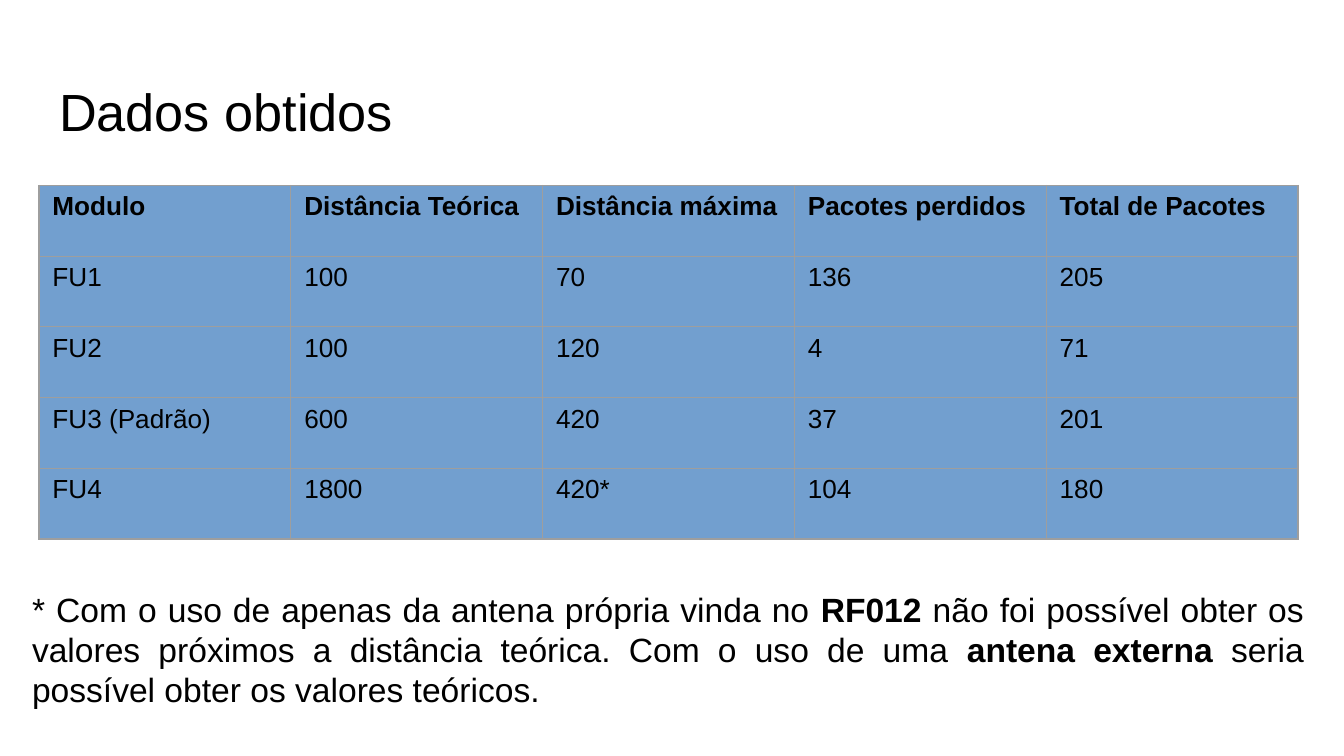
from dataclasses import dataclass
from typing import NamedTuple

from lxml import etree
from pptx import Presentation
from pptx.dml.color import RGBColor
from pptx.enum.text import MSO_ANCHOR, MSO_AUTO_SIZE, PP_ALIGN
from pptx.oxml.ns import qn
from pptx.util import Emu, Inches, Pt

TOP = MSO_ANCHOR.TOP
NO_AUTO_SIZE = MSO_AUTO_SIZE.NONE
LEFT = PP_ALIGN.LEFT
JUSTIFY = PP_ALIGN.JUSTIFY
TITLE_ONLY_LAYOUT = 5


@dataclass(frozen=True)
class Theme:
    font: str = "Arial"
    text: str = "000000"
    cell: str = "729FCF"
    border: str = "9E9E9E"
    border_width: float = 0.75
    title_size: int = 28
    table_size: int = 14
    note_size: int = 18


class Box(NamedTuple):
    left: float
    top: float
    width: float
    height: float

    def lengths(self) -> tuple[Emu, ...]:
        return tuple(Inches(value) for value in self)


class Piece(NamedTuple):
    text: str
    bold: bool = False


THEME = Theme()
SLIDE_WIDTH = 10
SLIDE_HEIGHT = SLIDE_WIDTH * 9 / 16
TITLE_BOX = Box(0.34, 0.49, 9.32, 0.63)
TABLE_BOX = Box(0.29, 1.38, 9.37, 2.63)
NOTE_BOX = Box(0.14, 4.28, 9.66, 1.07)

ROWS = (
    ("Modulo", "Distância Teórica", "Distância máxima", "Pacotes perdidos", "Total de Pacotes"),
    ("FU1", "100", "70", "136", "205"),
    ("FU2", "100", "120", "4", "71"),
    ("FU3 (Padrão)", "600", "420", "37", "201"),
    ("FU4", "1800", "420*", "104", "180"),
)
NOTE = (
    Piece("* Com o uso de apenas da antena própria vinda no "),
    Piece("RF012", bold=True),
    Piece(" não foi possível obter os valores próximos a distância teórica. Com o uso de uma "),
    Piece("antena externa", bold=True),
    Piece(" seria possível obter os valores teóricos."),
)


def format_run(run, size: int, bold: bool = False) -> None:
    run.font.name = THEME.font
    run.font.size = Pt(size)
    run.font.bold = bold
    run.font.color.rgb = RGBColor.from_string(THEME.text)


def write_text(shape, pieces: tuple[Piece, ...], size: int, alignment: PP_ALIGN) -> None:
    frame = shape.text_frame
    frame.word_wrap = True
    frame.auto_size = NO_AUTO_SIZE
    frame.vertical_anchor = TOP
    frame.margin_left = frame.margin_right = Inches(0.1)
    frame.margin_top = frame.margin_bottom = Inches(0.1)
    paragraph = frame.paragraphs[0]
    paragraph.alignment = alignment
    paragraph.line_spacing = 1.0
    for piece in pieces:
        run = paragraph.add_run()
        run.text = piece.text
        format_run(run, size, piece.bold)


def set_borders(cell) -> None:
    """Line all four sides; borders must come before the fill in the cell XML."""
    properties = cell._tc.get_or_add_tcPr()
    for position, side in enumerate(("lnL", "lnR", "lnT", "lnB")):
        line = etree.Element(qn(f"a:{side}"), w=str(Pt(THEME.border_width)))
        fill = etree.SubElement(line, qn("a:solidFill"))
        etree.SubElement(fill, qn("a:srgbClr"), val=THEME.border)
        properties.insert(position, line)


def add_data_table(slide) -> None:
    row_count, column_count = len(ROWS), len(ROWS[0])
    table = slide.shapes.add_table(row_count, column_count, *TABLE_BOX.lengths()).table
    for column in table.columns:
        column.width = Inches(TABLE_BOX.width / column_count)
    for row in table.rows:
        row.height = Inches(TABLE_BOX.height / row_count)
    for row_index, values in enumerate(ROWS):
        for column_index, value in enumerate(values):
            cell = table.cell(row_index, column_index)
            cell.text_frame.text = value
            format_run(cell.text_frame.paragraphs[0].runs[0], THEME.table_size, bold=row_index == 0)
            cell.fill.solid()
            cell.fill.fore_color.rgb = RGBColor.from_string(THEME.cell)
            set_borders(cell)


def main() -> None:
    presentation = Presentation()
    presentation.slide_width = Inches(SLIDE_WIDTH)
    presentation.slide_height = Inches(SLIDE_HEIGHT)
    slide = presentation.slides.add_slide(presentation.slide_layouts[TITLE_ONLY_LAYOUT])

    title = slide.shapes.title
    title.left, title.top, title.width, title.height = TITLE_BOX.lengths()
    write_text(title, (Piece("Dados obtidos"),), THEME.title_size, LEFT)

    add_data_table(slide)

    note = slide.shapes.add_textbox(*NOTE_BOX.lengths())
    write_text(note, NOTE, THEME.note_size, JUSTIFY)

    presentation.save("out.pptx")


if __name__ == "__main__":
    main()
